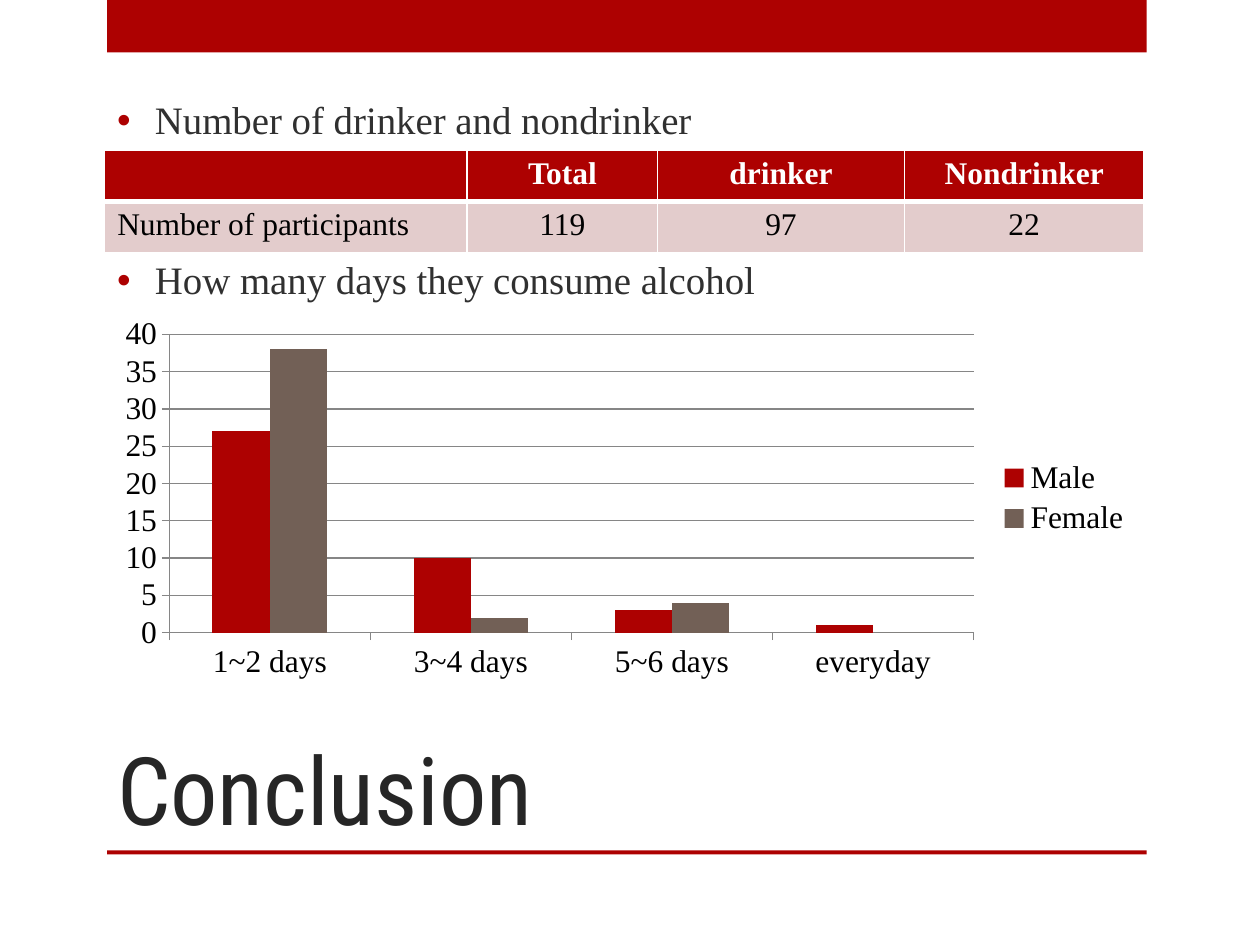
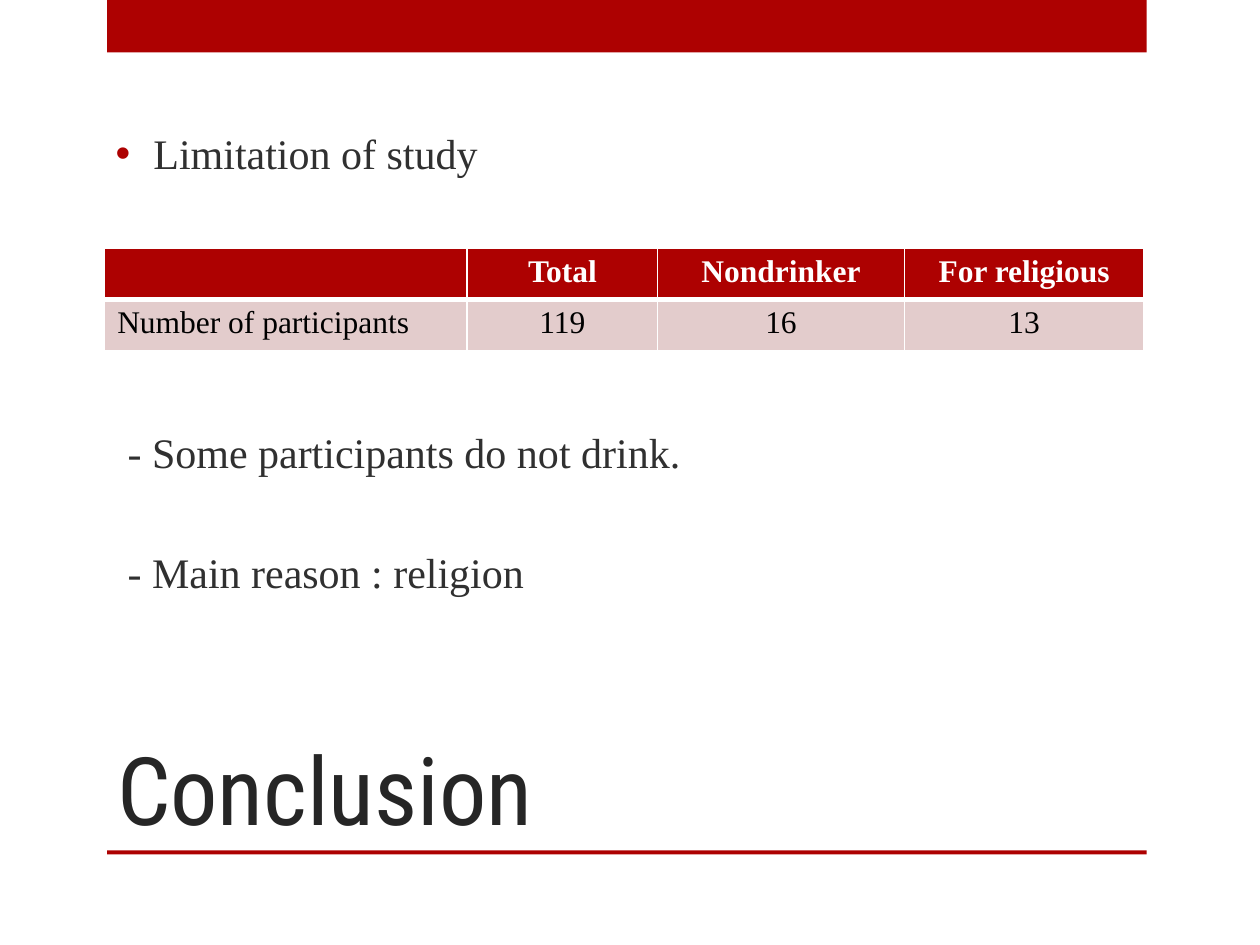
from lxml.etree import SubElement
from pptx import Presentation
from pptx.chart.data import CategoryChartData
from pptx.dml.color import RGBColor
from pptx.enum.chart import XL_CHART_TYPE, XL_LEGEND_POSITION, XL_TICK_MARK
from pptx.enum.shapes import MSO_SHAPE
from pptx.enum.text import MSO_ANCHOR, PP_ALIGN
from pptx.oxml.ns import qn
from pptx.util import Pt

COLORS = {
    "red": "AD0101",
    "brown": "726056",
    "pink": "E3CCCC",
    "title": "262626",
    "body": "303030",
    "grid": "868686",
    "black": "000000",
    "white": "FFFFFF",
}
TITLE_FONT, BODY_FONT = "Roboto Condensed", "Times New Roman"
TITLE = "Conclusion"

DRINKERS = [
    ("", "Total", "drinker", "Nondrinker"),
    ("Number of participants", "119", "97", "22"),
]
DAYS = ("1~2 days", "3~4 days", "5~6 days", "everyday")
DRINKING_DAYS = [
    ("Male", (27, 10, 3, 1), "red"),
    ("Female", (38, 2, 4, 0), "brown"),
]
ABSTAINERS = [
    ("", "Total", "Nondrinker", "For religious"),
    ("Number of participants", "119", "16", "13"),
]
REASONS = ["- Some participants do not drink.", "- Main reason : religion"]

# Lengths in points
LEFT, WIDTH = 59.8, 594
BAND_LEFT = 61.2
COLUMN_WIDTHS = (207.2, 108.8, 141, 137)
ROW_HEIGHT = 29.2
HANGING = 21.6


def rgb(color):
    return RGBColor.from_string(COLORS[color])


def style(font, size, color, name=BODY_FONT, bold=False):
    font.name, font.size, font.bold = name, Pt(size), bold
    font.color.rgb = rgb(color)


def add_band(slide, top, height):
    band = slide.shapes.add_shape(
        MSO_SHAPE.RECTANGLE, Pt(BAND_LEFT), Pt(top), Pt(WIDTH), Pt(height))
    band.shadow.inherit = False
    band.fill.solid()
    band.fill.fore_color.rgb = rgb("red")
    band.line.fill.background()


def add_text_frame(slide, top, height, anchor, left=LEFT, width=WIDTH):
    frame = slide.shapes.add_textbox(
        Pt(left), Pt(top), Pt(width), Pt(height)).text_frame
    frame.word_wrap = True
    frame.vertical_anchor = anchor
    return frame


def start_slide(deck):
    """Add a blank slide with the shared bands and title."""
    slide = deck.slides.add_slide(deck.slide_layouts[6])
    add_band(slide, 0, 30)
    add_band(slide, 486, 2.2)
    frame = add_text_frame(slide, 360, 126, MSO_ANCHOR.BOTTOM, width=534)
    heading = frame.paragraphs[0]
    heading.text = TITLE
    style(heading.font, 54, "title", TITLE_FONT)
    return slide


def add_bullet(slide, text, top, height, size, line_spacing=1.0, left=LEFT):
    frame = add_text_frame(slide, top, height, MSO_ANCHOR.MIDDLE, left)
    bullet = frame.paragraphs[0]
    bullet.text = text
    bullet.line_spacing = line_spacing
    bullet.space_before = Pt(5)
    style(bullet.font, size, "body")
    properties = bullet._p.get_or_add_pPr()
    properties.set("marL", str(Pt(HANGING)))
    properties.set("indent", str(-Pt(HANGING)))
    bullet_color = SubElement(properties, qn("a:buClr"))
    SubElement(bullet_color, qn("a:srgbClr"), val=COLORS["red"])
    SubElement(properties, qn("a:buFont"), typeface="Arial")
    SubElement(properties, qn("a:buChar"), char="•")
    # Paragraph default run properties come last in the schema
    default_font = properties.find(qn("a:defRPr"))
    if default_font is not None:
        properties.append(default_font)


def set_borders(cell, top, bottom):
    properties = cell._tc.get_or_add_tcPr()
    for side, width in (("L", 1), ("R", 1), ("T", top), ("B", bottom)):
        border = SubElement(properties, qn(f"a:ln{side}"), w=str(Pt(width)))
        fill = SubElement(border, qn("a:solidFill"))
        SubElement(fill, qn("a:srgbClr"), val=COLORS["white"])


def add_counts(slide, rows, top):
    table = slide.shapes.add_table(
        len(rows), len(COLUMN_WIDTHS), Pt(LEFT), Pt(top),
        Pt(WIDTH), Pt(ROW_HEIGHT * len(rows))).table
    table.first_row = table.horz_banding = False
    for column, width in zip(table.columns, COLUMN_WIDTHS):
        column.width = Pt(width)
    for r, row in enumerate(rows):
        table.rows[r].height = Pt(ROW_HEIGHT)
        header = r == 0
        for c, text in enumerate(row):
            cell = table.cell(r, c)
            set_borders(cell, *((1, 3) if header else (3, 1)))
            cell.fill.solid()
            cell.fill.fore_color.rgb = rgb("red" if header else "pink")
            cell.text = text
            entry = cell.text_frame.paragraphs[0]
            entry.alignment = PP_ALIGN.CENTER if c else PP_ALIGN.LEFT
            style(entry.font, 18, "white" if header else "black", bold=header)


def add_days_chart(slide, top, height):
    data = CategoryChartData()
    data.categories = DAYS
    for name, counts, _ in DRINKING_DAYS:
        data.add_series(name, counts)
    chart = slide.shapes.add_chart(
        XL_CHART_TYPE.COLUMN_CLUSTERED, Pt(LEFT), Pt(top),
        Pt(WIDTH), Pt(height), data).chart
    style(chart.font, 18, "black")
    chart.has_title = False
    chart.has_legend = True
    chart.legend.position = XL_LEGEND_POSITION.RIGHT
    chart.legend.include_in_layout = False

    plot = chart.plots[0]
    plot.gap_width, plot.overlap = 150, 0
    plot.vary_by_categories = False
    for series, (_, _, color) in zip(plot.series, DRINKING_DAYS):
        series.format.fill.solid()
        series.format.fill.fore_color.rgb = rgb(color)

    counts_axis = chart.value_axis
    counts_axis.minimum_scale, counts_axis.maximum_scale = 0, 40
    counts_axis.major_unit = 5
    counts_axis.has_major_gridlines = True
    for axis in (counts_axis, chart.category_axis):
        axis.major_tick_mark = XL_TICK_MARK.OUTSIDE
    for part in (counts_axis, chart.category_axis, counts_axis.major_gridlines):
        part.format.line.color.rgb = rgb("grid")
        part.format.line.width = Pt(0.75)


def add_reasons(slide, top, height):
    frame = add_text_frame(slide, top, height, MSO_ANCHOR.MIDDLE)
    for i, text in enumerate(REASONS):
        reason = frame.add_paragraph() if i else frame.paragraphs[0]
        reason.text = text
        reason.space_before = Pt(39.5 if i else 5)
        style(reason.font, 24, "body")
        reason._p.get_or_add_pPr().set("marL", str(Pt(6)))


def main():
    deck = Presentation()
    deck.slide_width, deck.slide_height = Pt(720), Pt(540)

    results = start_slide(deck)
    add_days_chart(results, 177, 215.5)
    add_counts(results, DRINKERS, 85.8)
    add_bullet(results, "Number of drinker and nondrinker", 54, 31.7, 22.2, 0.9)
    add_bullet(results, "How many days they consume alcohol", 145.4, 31.7, 22.2, 0.9)

    limitation = start_slide(deck)
    add_counts(limitation, ABSTAINERS, 141.8)
    add_bullet(limitation, "Limitation of study", 63.4, 48.2, 24, left=59)
    add_reasons(limitation, 229.7, 125.3)

    deck.save("out.pptx")


if __name__ == "__main__":
    main()
